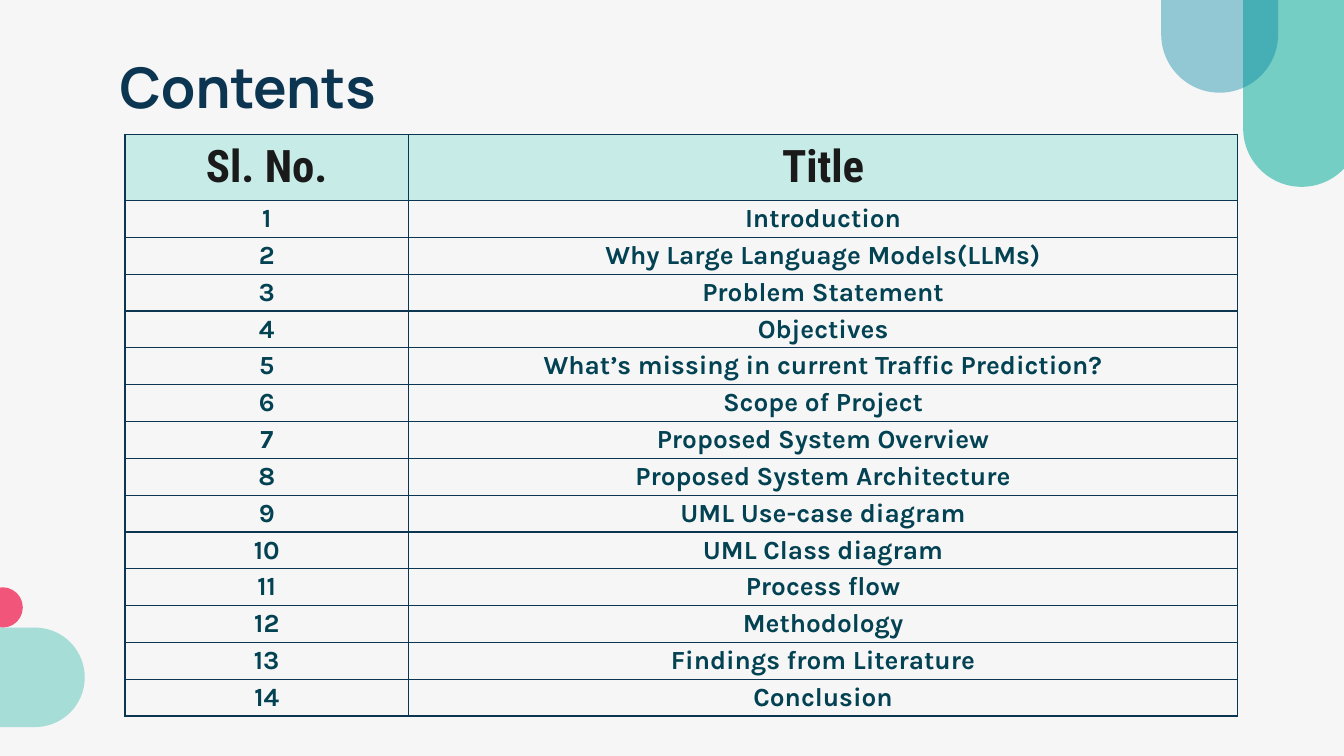
from dataclasses import dataclass

from lxml.etree import SubElement
from pptx import Presentation
from pptx.dml.color import RGBColor
from pptx.enum.shapes import MSO_SHAPE
from pptx.enum.text import MSO_ANCHOR, MSO_AUTO_SIZE, PP_ALIGN
from pptx.oxml.ns import qn
from pptx.slide import Slide
from pptx.table import _Cell
from pptx.util import Inches, Pt

# Slide grid: 100 columns by 56.25 rows
SLIDE_WIDTH, SLIDE_HEIGHT = Inches(10), Inches(5.625)
COLUMN, ROW = SLIDE_WIDTH / 100, SLIDE_HEIGHT / 56.25

NAVY, TEAL, MINT = "0B3550", "74CEC4", "C7EBE7"
TOPICS = [
    "Introduction",
    "Why Large Language Models(LLMs)",
    "Problem Statement",
    "Objectives",
    "What’s missing in current Traffic Prediction?",
    "Scope of Project",
    "Proposed System Overview",
    "Proposed System Architecture",
    "UML Use-case diagram",
    "UML Class diagram",
    "Process flow",
    "Methodology",
    "Findings from Literature",
    "Conclusion",
]


@dataclass
class Ornament:
    left: float
    top: float
    width: float
    height: float
    color: str
    opacity: int = 100
    rotation: int = 0
    outline: MSO_SHAPE = MSO_SHAPE.ROUNDED_RECTANGLE


@dataclass
class CellStyle:
    font: str
    size: int
    color: str
    side_margin: float
    end_margin: float
    fill: str | None = None


ORNAMENTS = [
    Ornament(92.5, -31.3, 8.7, 45.2, TEAL),
    Ornament(86.4, -24.4, 8.7, 31.3, "0584A4", opacity=41),
    Ornament(-1.3, 43.7, 3, 3, "F2557A", outline=MSO_SHAPE.OVAL),
    Ornament(-7.4, 40.4, 7.4, 20, TEAL, opacity=61, rotation=90),
]
HEADING = CellStyle("Roboto Condensed", 24, "1A1A1A", 0.5, 0.5, MINT)
ENTRY = CellStyle("Karla", 14, "034252", 1, 0)


def rgb(color: str) -> RGBColor:
    return RGBColor.from_string(color)


def grid_box(left: float, top: float, width: float, height: float) -> tuple[int, ...]:
    return tuple(round(v) for v in
                 (left * COLUMN, top * ROW, width * COLUMN, height * ROW))


def draw_ornament(slide: Slide, ornament: Ornament) -> None:
    box = grid_box(ornament.left, ornament.top, ornament.width, ornament.height)
    shape = slide.shapes.add_shape(ornament.outline, *box)
    if ornament.outline == MSO_SHAPE.ROUNDED_RECTANGLE:
        shape.adjustments[0] = 0.5
    shape.rotation = ornament.rotation
    shape.shadow.inherit = False
    shape.line.fill.background()
    shape.fill.solid()
    shape.fill.fore_color.rgb = rgb(ornament.color)
    if ornament.opacity < 100:
        color = shape.fill._xPr.find(f".//{qn('a:srgbClr')}")
        SubElement(color, qn("a:alpha"), val=str(ornament.opacity * 1000))


def draw_title(slide: Slide, text: str) -> None:
    title = slide.shapes.title
    title.left, title.top, title.width, title.height = grid_box(7.9, 2.9, 84.3, 6.3)
    frame = title.text_frame
    frame.text = text
    frame.auto_size = MSO_AUTO_SIZE.NONE
    frame.vertical_anchor = MSO_ANCHOR.TOP
    frame.margin_left = frame.margin_right = round(COLUMN)
    frame.margin_top = frame.margin_bottom = round(ROW)
    paragraph = frame.paragraphs[0]
    paragraph.alignment = PP_ALIGN.LEFT
    paragraph.line_spacing = 1.0
    font = paragraph.font
    font.name, font.size, font.bold = "Manrope", Pt(30), True
    font.color.rgb = rgb(NAVY)
    # Keep the title in front of the ornaments
    slide.shapes._spTree.append(title._element)


def add_borders(cell: _Cell) -> None:
    properties = cell._tc.get_or_add_tcPr()
    for position, side in enumerate(("a:lnL", "a:lnR", "a:lnT", "a:lnB")):
        line = SubElement(properties, qn(side), w=str(Pt(0.75)))
        SubElement(SubElement(line, qn("a:solidFill")), qn("a:srgbClr"), val=NAVY)
        properties.insert(position, line)


def write_cell(cell: _Cell, text: str, style: CellStyle) -> None:
    cell.text = text
    cell.vertical_anchor = MSO_ANCHOR.MIDDLE
    cell.margin_left = cell.margin_right = round(style.side_margin * COLUMN)
    cell.margin_top = cell.margin_bottom = round(style.end_margin * ROW)
    if style.fill:
        cell.fill.solid()
        cell.fill.fore_color.rgb = rgb(style.fill)
    else:
        cell.fill.background()
    add_borders(cell)
    paragraph = cell.text_frame.paragraphs[0]
    paragraph.alignment = PP_ALIGN.CENTER
    font = paragraph.font
    font.name, font.size, font.bold = style.font, Pt(style.size), True
    font.color.rgb = rgb(style.color)


def draw_contents(slide: Slide) -> None:
    heading_height, entries_height = 4.9, 38.4
    box = grid_box(9.3, 10, 82.8, heading_height + entries_height)
    table = slide.shapes.add_table(len(TOPICS) + 1, 2, *box).table
    table.horz_banding = False
    for column, width in zip(table.columns, (21.1, 61.7)):
        column.width = round(width * COLUMN)
    entries = [(str(number), topic) for number, topic in enumerate(TOPICS, 1)]
    for index, texts in enumerate([("Sl. No.", "Title"), *entries]):
        height = entries_height / len(TOPICS) if index else heading_height
        table.rows[index].height = round(height * ROW)
        for cell, text in zip(table.rows[index].cells, texts):
            write_cell(cell, text, ENTRY if index else HEADING)


def main() -> None:
    presentation = Presentation()
    presentation.slide_width, presentation.slide_height = SLIDE_WIDTH, SLIDE_HEIGHT
    slide = presentation.slides.add_slide(presentation.slide_layouts[5])
    slide.background.fill.solid()
    slide.background.fill.fore_color.rgb = rgb("F6F6F6")

    for ornament in ORNAMENTS:
        draw_ornament(slide, ornament)
    draw_title(slide, "Contents")
    draw_contents(slide)
    presentation.save("out.pptx")


if __name__ == "__main__":
    main()
